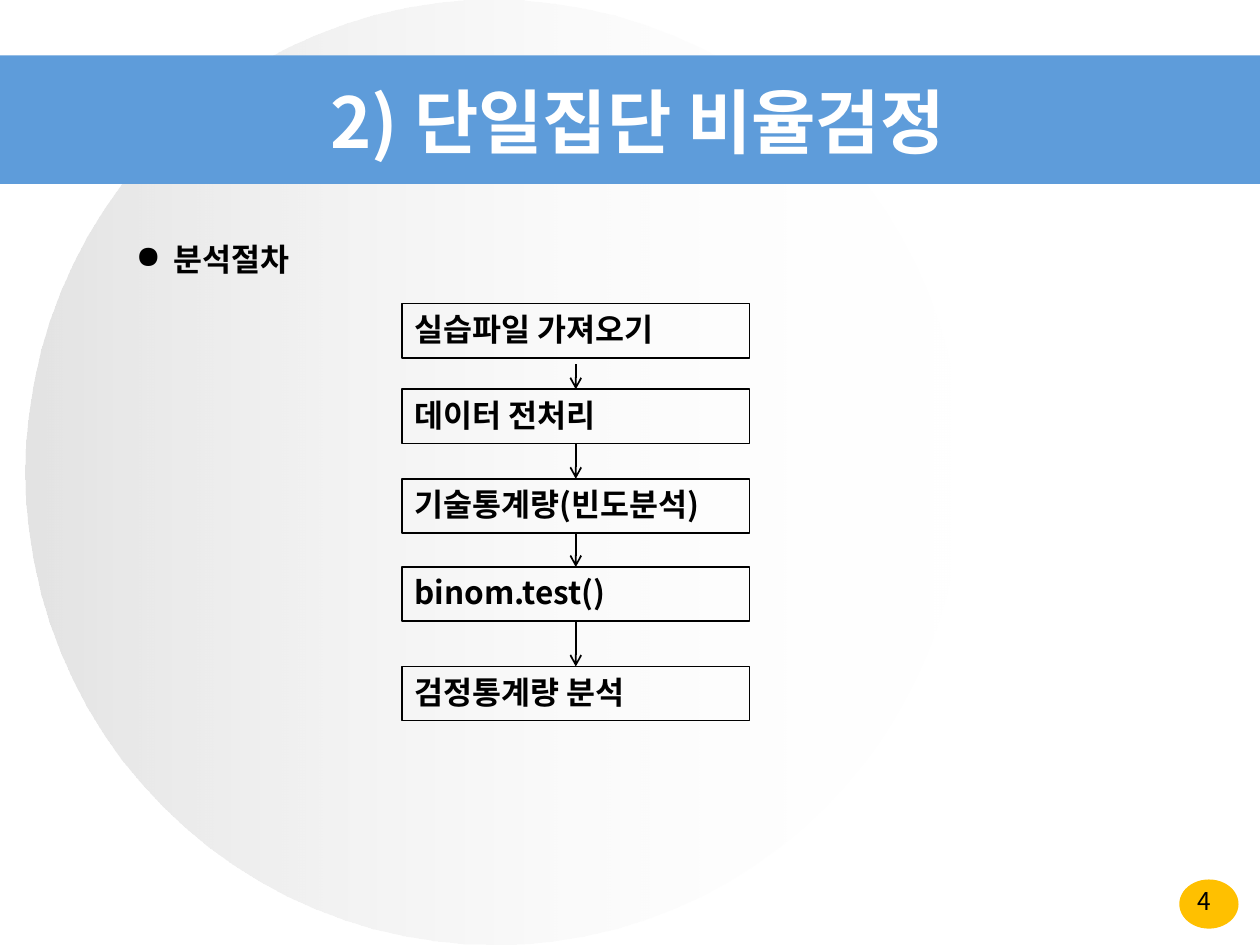
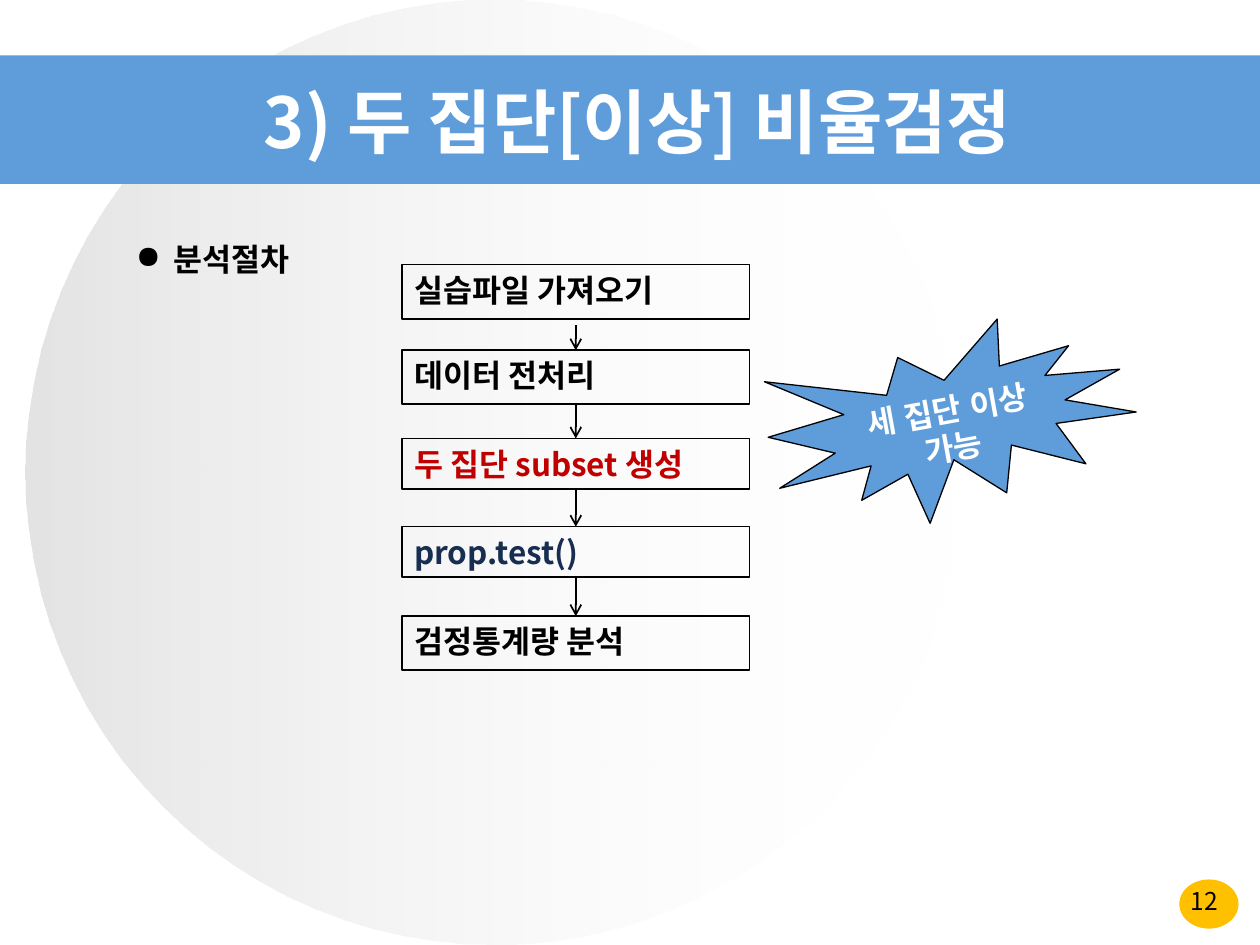
from lxml import etree
from pptx import Presentation
from pptx.dml import color
from pptx.enum import shapes, text
from pptx.oxml import ns
from pptx.util import Inches, Pt

FONT = "Noto Sans CJK KR"
BLUE, AMBER, SILVER = "5E9CDA", "FFC000", "C0C0C0"
BLACK, WHITE, RED, NAVY = "000000", "FFFFFF", "C00000", "172E51"
LEFT, TOP, WIDTH, CENTER = 3.19, 0.58, 2.76, 4.57
SHAPE, ALIGN, ANCHOR = shapes.MSO_SHAPE, text.PP_ALIGN, text.MSO_ANCHOR
rgb = color.RGBColor.from_string


def add_shape(page, kind, area, fill=None, line=None, weight=1):
    shape = page.shapes.add_shape(kind, *map(Inches, area))
    shape.shadow.inherit = False
    if fill:
        shape.fill.solid()
        shape.fill.fore_color.rgb = rgb(fill)
    else:
        shape.fill.background()
    if line:
        shape.line.color.rgb = rgb(line)
        shape.line.width = Pt(weight)
    else:
        shape.line.fill.background()
    return shape


def write(shape, words, size=18, ink=BLACK, bold=True, align=ALIGN.LEFT,
          anchor=ANCHOR.TOP, font=FONT):
    """Fill a shape with text, one paragraph per line of words."""
    frame = shape.text_frame
    frame.text = words
    frame.word_wrap = True
    frame.vertical_anchor = anchor
    for para in frame.paragraphs:
        para.alignment = align
        para.font.size, para.font.bold, para.font.name = Pt(size), bold, font
        para.font.color.rgb = rgb(ink)
        for span in para.runs:
            span.font.name = font
            east = etree.SubElement(span.font._element, ns.qn("a:ea"))
            east.set("typeface", font)
    return frame.paragraphs[0]


# Each step: wording, text colour, top, height
procedures = [
    ("2) 단일집단 비율검정", "4", [
        ("실습파일 가져오기", BLACK, 2.41, 0.43),
        ("데이터 전처리", BLACK, 3.09, 0.43),
        ("기술통계량(빈도분석)", BLACK, 3.8, 0.43),
        ("binom.test()", BLACK, 4.5, 0.43),
        ("검정통계량 분석", BLACK, 5.29, 0.43)]),
    ("3) 두 집단[이상] 비율검정", "12", [
        ("실습파일 가져오기", BLACK, 2.1, 0.43),
        ("데이터 전처리", BLACK, 2.78, 0.43),
        ("두 집단 subset 생성", RED, 3.48, 0.4),
        ("prop.test()", NAVY, 4.18, 0.4),
        ("검정통계량 분석", BLACK, 4.89, 0.43)]),
]

deck = Presentation()
deck.slide_width, deck.slide_height = Inches(10), Inches(7.5)

for title, number, steps in procedures:
    page = deck.slides.add_slide(deck.slide_layouts[6])

    # Backdrop, title band and page number
    add_shape(page, SHAPE.OVAL, (9.36, 6.98, 0.47, 0.39), AMBER)
    disc = add_shape(page, SHAPE.OVAL, (0.2, 0, 7.44, 7.5))
    disc.fill.gradient()
    disc.fill.gradient_angle = 0
    for stop, ink, opacity in zip(disc.fill.gradient_stops, (SILVER, WHITE), (44, 0)):
        stop.color.rgb = rgb(ink)
        tint = stop._gs.find(ns.qn("a:srgbClr"))
        etree.SubElement(tint, ns.qn("a:alpha")).set("val", str(opacity * 1000))
    add_shape(page, SHAPE.RECTANGLE, (0, 0.44, 10, 1.02), BLUE)
    heading = page.shapes.add_textbox(*map(Inches, (0.12, TOP, 9.88, 0.75)))
    write(heading, title, 40, WHITE, align=ALIGN.CENTER, anchor=ANCHOR.MIDDLE)
    folio = page.shapes.add_textbox(*map(Inches, (9.12, 6.98, 0.88, 0.29)))
    write(folio, number, 14, bold=False, align=ALIGN.CENTER)

    label = page.shapes.add_textbox(*map(Inches, (0.98, 1.86, 1.49, 0.4)))
    props = write(label, "분석절차")._p.get_or_add_pPr()
    props.set("marL", str(Inches(0.3)))
    props.set("indent", str(-Inches(0.3)))
    bullet = etree.Element(ns.qn("a:buChar"), char="●")
    props.insert_element_before(bullet, "a:tabLst", "a:defRPr", "a:extLst")

    # Steps, each joined to the one above by an arrow
    previous = None
    for index, (words, ink, top, height) in enumerate(steps):
        box = add_shape(page, SHAPE.RECTANGLE, (LEFT, top, WIDTH, height), line=BLACK)
        write(box, words, ink=ink)
        if previous:
            arrow = page.shapes.add_connector(
                shapes.MSO_CONNECTOR.STRAIGHT, Inches(CENTER), Inches(top - 0.2),
                Inches(CENTER), Inches(top))
            if index > 1:  # the first arrow starts a little below its box
                arrow.begin_connect(previous, 2)
            arrow.end_connect(box, 0)
            arrow.line.color.rgb = rgb(BLACK)
            arrow.line.width = Pt(1)
            etree.SubElement(arrow.line._get_or_add_ln(), ns.qn("a:tailEnd"), type="arrow")
            etree.SubElement(arrow._element.spPr, ns.qn("a:effectLst"))
        previous = box

# Remark on the last slide
burst = add_shape(page, SHAPE.EXPLOSION1, (6.1, 2.61, 2.91, 1.5), BLUE, BLACK, 0.75)
burst.rotation = 349.7
write(burst, "세 집단 이상\n가능", ink=WHITE, align=ALIGN.CENTER, font="Arial")

deck.save("out.pptx")
